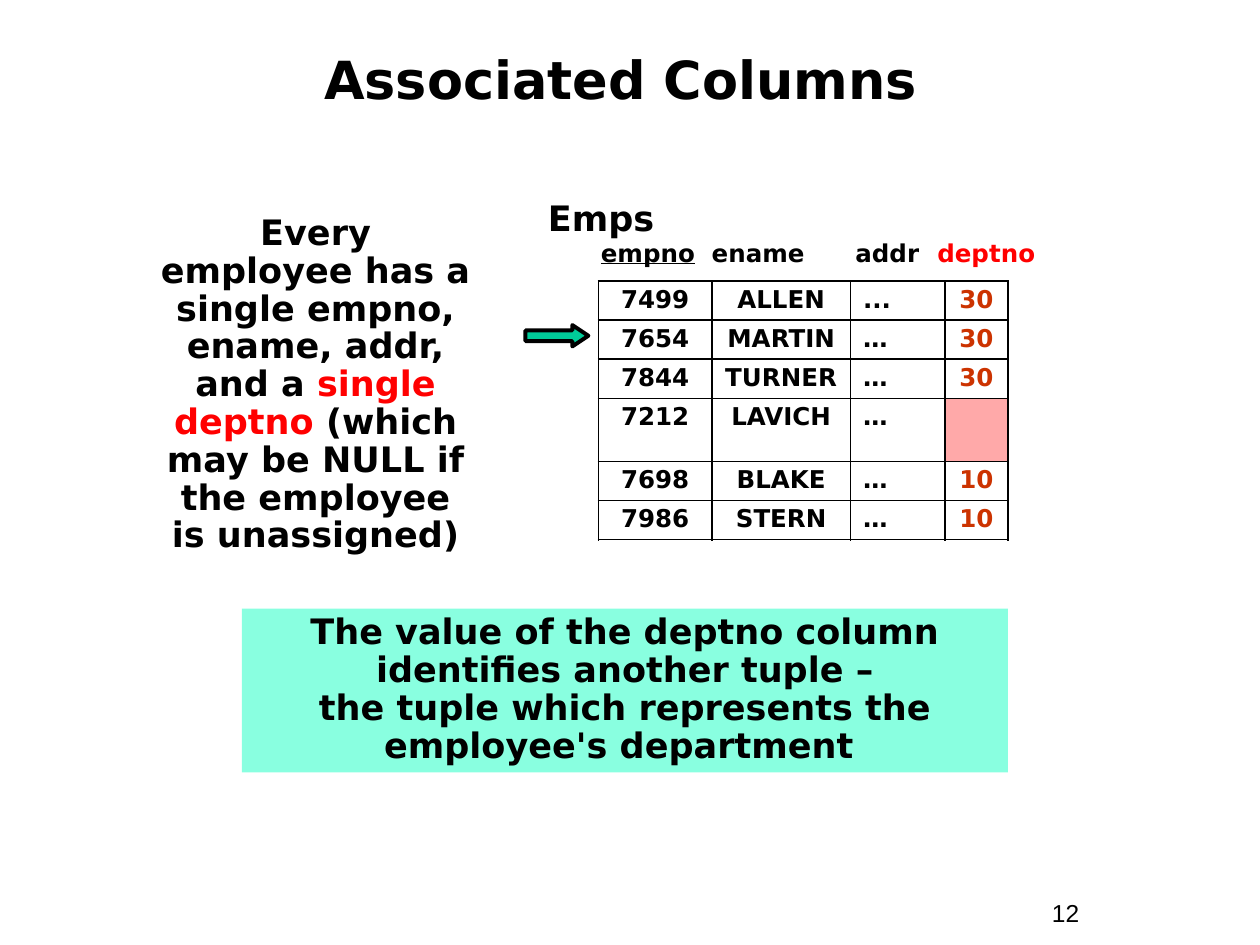
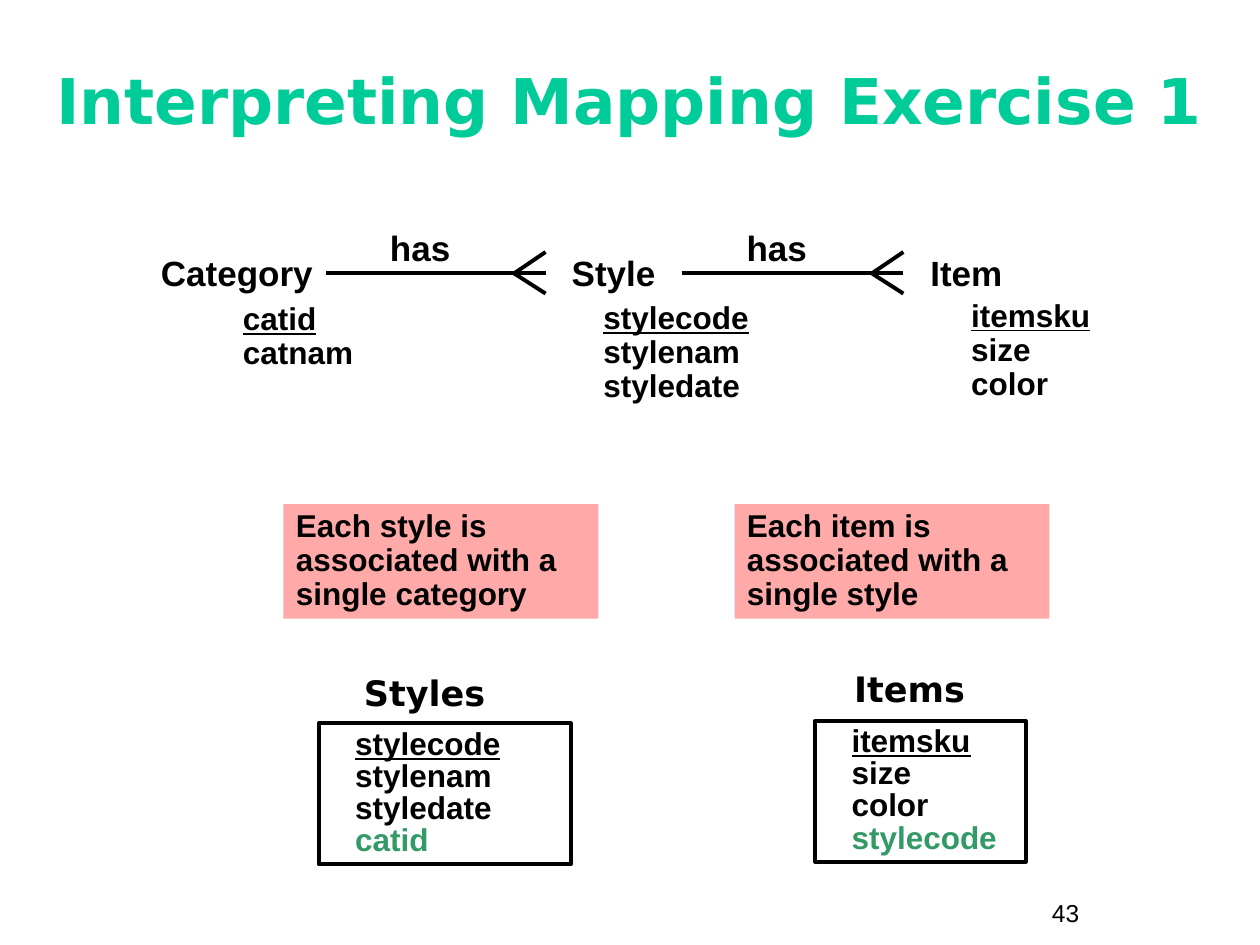
from lxml import etree
from pptx import Presentation
from pptx.dml.color import RGBColor
from pptx.enum.shapes import MSO_CONNECTOR, MSO_SHAPE
from pptx.enum.text import MSO_ANCHOR, PP_ALIGN
from pptx.oxml.ns import qn
from pptx.util import Inches, Pt

RECTANGLE, RIGHT_ARROW = MSO_SHAPE.RECTANGLE, MSO_SHAPE.RIGHT_ARROW
STRAIGHT = MSO_CONNECTOR.STRAIGHT
LEFT, CENTER = PP_ALIGN.LEFT, PP_ALIGN.CENTER
TOP, MIDDLE = MSO_ANCHOR.TOP, MSO_ANCHOR.MIDDLE
HEADING_FONT, BODY_FONT = "DejaVu Sans", "Arial"
COLORS = {
    "black": "000000", "white": "FFFFFF", "red": "FF0000", "rust": "CC3300",
    "green": "00CC99", "key_green": "339966", "mint": "89FFE0", "pink": "FFA9A9",
}


def add_box(slide, left, top, width, height, fill=None, line=None, anchor=TOP, wrap=True):
    """Add a text box, or a rectangle when a fill or line colour is given."""
    place = Inches(left), Inches(top), Inches(width), Inches(height)
    if fill or line:
        box = slide.shapes.add_shape(RECTANGLE, *place)
        box.shadow.inherit = False
        box.fill.background()
        box.line.fill.background()
    else:
        box = slide.shapes.add_textbox(*place)
    if fill:
        box.fill.solid()
        box.fill.fore_color.rgb = RGBColor.from_string(COLORS[fill])
    if line:
        box.line.color.rgb = RGBColor.from_string(COLORS[line])
        box.line.width = Pt(2.25)
    box.text_frame.word_wrap = wrap
    box.text_frame.vertical_anchor = anchor
    return box


def write_text(text_frame, paragraphs, size, font=BODY_FONT, align=LEFT, spacing=1.0,
               bold=True, indent=0):
    """Write paragraphs, each a list of (text, colour, underlined) runs."""
    for index, runs in enumerate(paragraphs):
        paragraph = text_frame.add_paragraph() if index else text_frame.paragraphs[0]
        paragraph.alignment = align
        paragraph.line_spacing = spacing
        properties = paragraph._p.get_or_add_pPr()
        properties.set("marL", str(Inches(indent)))
        properties.set("indent", "0")
        for text, color, underlined in runs:
            for part, line in enumerate(text.split("\n")):
                if part:
                    paragraph.add_line_break()
                run = paragraph.add_run()
                run.text = line
                run.font.name = font
                run.font.size = Pt(size)
                run.font.bold = bold
                run.font.underline = underlined
                run.font.color.rgb = RGBColor.from_string(COLORS[color])


presentation = Presentation()
presentation.slide_width, presentation.slide_height = Inches(10), Inches(7.5)

# Titles and page numbers
slides = []
for title, place, size, color, number in [
    ("Associated Columns ", (0.25, 0.33, 9.5, 0.58), 30, "black", "12"),
    ("Interpreting Mapping Exercise 1", (0.33, 0.33, 9.33, 0.92), 36, "green", "43"),
]:
    slide = presentation.slides.add_slide(presentation.slide_layouts[6])
    slides.append(slide)
    page = add_box(slide, 8.25, 7.08, 0.92, 0.34)
    write_text(page.text_frame, [[(number, "black", False)]], 14, bold=False)
    box = add_box(slide, *place, anchor=MIDDLE)
    write_text(box.text_frame, [[(title, color, False)]], size, HEADING_FONT, CENTER)
columns_slide, mapping_slide = slides

# Emps table: name and column headings
name = add_box(columns_slide, 4.25, 1.51, 2.15, 0.44)
write_text(name.text_frame, [[("Emps", "black", False)]], 20, HEADING_FONT)
for heading, left, width, color in [
    ("empno", 4.67, 0.96, "black"),
    ("ename", 5.55, 0.95, "black"),
    ("addr", 6.69, 0.72, "black"),
    ("deptno", 7.34, 0.98, "red"),
]:
    heading_box = add_box(columns_slide, left, 1.84, width, 0.34, wrap=False)
    write_text(heading_box.text_frame, [[(heading, color, heading == "empno")]],
               14, HEADING_FONT)

# Emps table: rows
employees = [
    ("7499", "ALLEN", "...", "30"),
    ("7654", "MARTIN", "…", "30"),
    ("7844", "TURNER", "…", "30"),
    ("7212", "LAVICH", "…", ""),
    ("7698", "BLAKE", "…", "10"),
    ("7986", "STERN", "…", "10"),
]
table = columns_slide.shapes.add_table(
    len(employees), 4, Inches(4.75), Inches(2.23), Inches(3.25), Inches(2.05)).table
table.first_row = table.horz_banding = False
for column, width in zip(table.columns, (0.9, 1.1, 0.75, 0.5)):
    column.width = Inches(width)
for row, employee in enumerate(employees):
    table.rows[row].height = Inches(0.31 if employee[3] else 0.5)
    for column, value in enumerate(employee):
        cell = table.cell(row, column)
        cell_properties = cell._tc.get_or_add_tcPr()
        for side in ("a:lnL", "a:lnR", "a:lnT", "a:lnB"):
            border = etree.SubElement(cell_properties, qn(side), w=str(Pt(1.08)))
            border_fill = etree.SubElement(border, qn("a:solidFill"))
            etree.SubElement(border_fill, qn("a:srgbClr"), val=COLORS["black"])
        if value:
            cell.fill.background()
            write_text(cell.text_frame, [[(value, "rust" if column == 3 else "black", False)]],
                       14, HEADING_FONT, LEFT if column == 2 else CENTER, 0.9)
        else:
            cell.fill.solid()
            cell.fill.fore_color.rgb = RGBColor.from_string(COLORS["pink"])

# Explanations beside and below the table
explanation = add_box(columns_slide, 1.17, 1.66, 2.67, 2.8)
write_text(explanation.text_frame, [[
    ("Every employee has a\nsingle empno, ename, addr, and a ", "black", False),
    ("single deptno ", "red", False),
    ("(which may be NULL if the employee is unassigned)", "black", False),
]], 20, HEADING_FONT, CENTER, 0.9)
conclusion = add_box(columns_slide, 1.92, 4.83, 6.08, 1.3, fill="mint")
write_text(conclusion.text_frame, [[
    ("The value of the deptno column identifies another tuple –\n"
     "the tuple which represents the employee's department ", "black", False),
]], 20, HEADING_FONT, CENTER, 0.9)

# Arrow to the example row
arrow = columns_slide.shapes.add_shape(
    RIGHT_ARROW, Inches(4.17), Inches(2.58), Inches(0.5), Inches(0.17))
arrow.adjustments[0], arrow.adjustments[1] = 0.5, 0.75
arrow.shadow.inherit = False
arrow.fill.solid()
arrow.fill.fore_color.rgb = RGBColor.from_string(COLORS["green"])
arrow.line.color.rgb = RGBColor.from_string(COLORS["black"])
arrow.line.width = Pt(2.25)

# Entities with their attributes; the first attribute is the key
entities = []
for entity_name, left, width, attribute_place, attributes in [
    ("Category", 1.17, 1.42, (1.83, 2.36, 1.19, 0.64), ["catid", "catnam"]),
    ("Style", 4.33, 1.08, (4.69, 2.35, 1.42, 0.91), ["stylecode", "stylenam", "styledate"]),
    ("Item", 7.17, 1, (7.61, 2.33, 1.17, 0.91), ["itemsku", "size", "color"]),
]:
    entity = add_box(mapping_slide, left, 1.83, width, 0.67, line="white",
                     anchor=MIDDLE, wrap=False)
    write_text(entity.text_frame, [[(entity_name, "black", False)]], 20, align=CENTER)
    entities.append(entity)
    attribute_box = add_box(mapping_slide, *attribute_place)
    write_text(attribute_box.text_frame,
               [[(text, "black", index == 0)] for index, text in enumerate(attributes)],
               18, spacing=0.9)

# One-to-many relationships with crow's feet
for one, many, label_left in zip(entities, entities[1:], (2.5, 5.33)):
    middle = Inches(2.17)
    foot = many.left - Inches(0.25)
    relationship = mapping_slide.shapes.add_connector(
        STRAIGHT, one.left + one.width, middle, many.left, middle)
    relationship.begin_connect(one, 3)
    relationship.end_connect(many, 1)
    toes = [mapping_slide.shapes.add_connector(STRAIGHT, foot, middle, many.left, Inches(end))
            for end in (2, 2.33)]
    for connector in [relationship, *toes]:
        connector.line.color.rgb = RGBColor.from_string(COLORS["black"])
        connector.line.width = Pt(2.25)
        etree.SubElement(connector._element.spPr, qn("a:effectLst"))
    label = add_box(mapping_slide, label_left, 1.75, 1.67, 0.44)
    write_text(label.text_frame, [[("has", "black", False)]], 20, align=CENTER)

# Rules and resulting tables; the last column is the foreign key
for rule, rule_left, table_name, name_place, table_place, columns in [
    ("Each style is associated with a single category", 2.25,
     "Styles", (2.79, 5.28, 2.15, 0.44), (2.53, 5.74, 2, 1.12),
     ["stylecode", "stylenam", "styledate", "catid"]),
    ("Each item is associated with a single style", 5.83,
     "Items", (6.68, 5.25, 1.49, 0.44), (6.47, 5.72, 1.67, 1.12),
     ["itemsku", "size", "color", "stylecode"]),
]:
    rule_box = add_box(mapping_slide, rule_left, 4, 2.5, 0.91, fill="pink")
    write_text(rule_box.text_frame, [[(rule, "black", False)]], 18, spacing=0.9)
    name_box = add_box(mapping_slide, *name_place)
    write_text(name_box.text_frame, [[(table_name, "black", False)]], 20, HEADING_FONT)
    table_box = add_box(mapping_slide, *table_place, line="black")
    write_text(table_box.text_frame,
               [[(text, "key_green" if index == 3 else "black", index == 0)]
                for index, text in enumerate(columns)],
               18, spacing=0.85, indent=0.19)

presentation.save("out.pptx")
